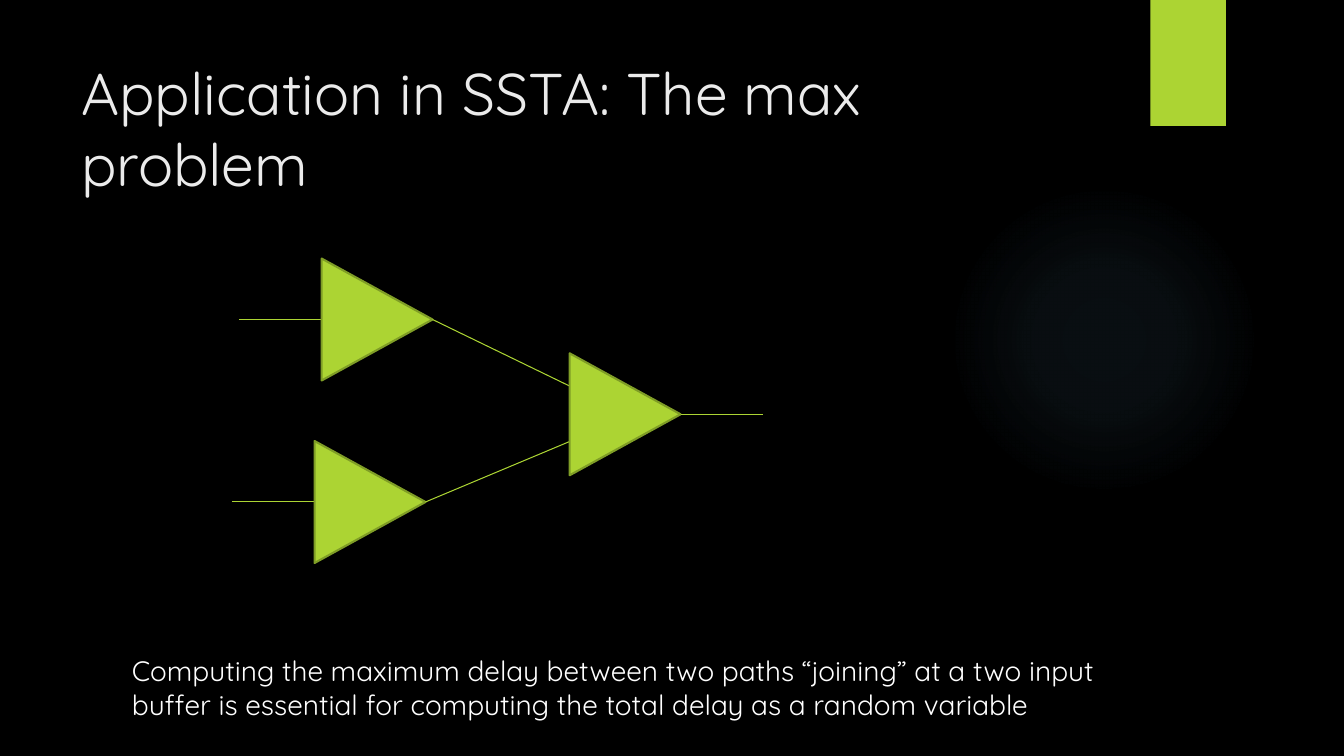
import pptx
import pptx.util
import pptx.dml.color
import pptx.enum.shapes
import pptx.enum.text
import pptx.oxml
import pptx.oxml.ns
import lxml.etree

Inches = pptx.util.Inches
Pt = pptx.util.Pt
SHAPE = pptx.enum.shapes.MSO_SHAPE
ANCHOR = pptx.enum.text.MSO_ANCHOR
LIME = "ACD433"
OLIVE = "7F9D26"
GATE_W, GATE_H, STUB = 1.1, 1.21, 0.82


def rgb(value):
    return pptx.dml.color.RGBColor.from_string(value)


def add_shape(slide, kind, x, y, w, h, fill=LIME):
    sp = slide.shapes.add_shape(kind, Inches(x), Inches(y), Inches(w), Inches(h))
    sp.shadow.inherit = False
    sp.fill.solid()
    sp.fill.fore_color.rgb = rgb(fill)
    sp.line.fill.background()
    return sp


def add_text(slide, x, y, w, h, text, size, color, anchor):
    tf = slide.shapes.add_textbox(Inches(x), Inches(y), Inches(w), Inches(h)).text_frame
    tf.word_wrap = True
    tf.vertical_anchor = anchor
    tf.text = text
    font = tf.paragraphs[0].runs[0].font
    font.name = "Quicksand"
    font.size = Pt(size)
    font.color.rgb = rgb(color)


def add_wire(slide, start, end):
    wire = slide.shapes.add_connector(
        pptx.enum.shapes.MSO_CONNECTOR.STRAIGHT, *[Inches(v) for v in (*start, *end)])
    wire.line.color.rgb = rgb(LIME)
    wire.line.width = Pt(0.75)
    lxml.etree.SubElement(wire._element.spPr, pptx.oxml.ns.qn("a:effectLst"))


def add_glow(slide, x, y, size):
    sp = add_shape(slide, SHAPE.OVAL, x, y, size, size)
    stops = "".join(
        f'<a:gs pos="{pos * 1000}"><a:srgbClr val="7AC4F0">'
        f'<a:alpha val="{alpha * 1000}"/></a:srgbClr></a:gs>'
        for pos, alpha in ((0, 7), (36, 6), (69, 0), (100, 0)))
    grad = pptx.oxml.parse_xml(
        f'<a:gradFill {pptx.oxml.ns.nsdecls("a")} rotWithShape="1"><a:gsLst>{stops}</a:gsLst>'
        '<a:path path="circle"><a:fillToRect l="50000" t="50000" r="50000" b="50000"/>'
        '</a:path></a:gradFill>')
    spPr = sp._element.spPr
    spPr.replace(spPr.find(pptx.oxml.ns.qn("a:solidFill")), grad)


def add_gate(slide, x, y):
    sp = add_shape(slide, SHAPE.ISOSCELES_TRIANGLE, x + (GATE_W - GATE_H) / 2,
                   y - GATE_W / 2, GATE_H, GATE_W)
    sp.rotation = 90
    sp.line.color.rgb = rgb(OLIVE)
    sp.line.width = Pt(1.5)
    return x + GATE_W, y


def add_circuit(slide, x, y):
    join_x, join_y = x + 3.35, y + 1.49
    for dx, dy, port in ((0.07, 0.55, -0.28), (0, 2.36, 0.27)):
        gate_x, gate_y = x + STUB + dx, y + dy
        add_wire(slide, (gate_x - STUB, gate_y), (gate_x, gate_y))
        tip = add_gate(slide, gate_x, gate_y)
        add_wire(slide, tip, (join_x, join_y + port))
    tip = add_gate(slide, join_x, join_y)
    add_wire(slide, tip, (tip[0] + STUB, tip[1]))


def add_backdrop(slide):
    slide.background.fill.solid()
    slide.background.fill.fore_color.rgb = rgb("000000")
    add_glow(slide, 9.41, 1.83, 3.08)
    add_shape(slide, SHAPE.RECTANGLE, 11.41, 0, 0.75, 1.25)


def main():
    prs = pptx.Presentation()
    prs.slide_width, prs.slide_height = Inches(13.33), Inches(7.5)
    slide = prs.slides.add_slide(prs.slide_layouts[6])
    add_backdrop(slide)
    add_text(slide, 0.71, 0.5, 10.2, 1.53, "Application in SSTA: The max problem",
             42, "EBEBEB", ANCHOR.MIDDLE)
    add_text(slide, 1.21, 6.4, 9.78, 0.8,
             "Computing the maximum delay between two paths “joining” at a two input "
             "buffer is essential for computing the total delay as a random variable",
             20, "FFFFFF", ANCHOR.BOTTOM)
    add_circuit(slide, 2.3, 2.62)
    prs.save("out.pptx")


if __name__ == "__main__":
    main()
